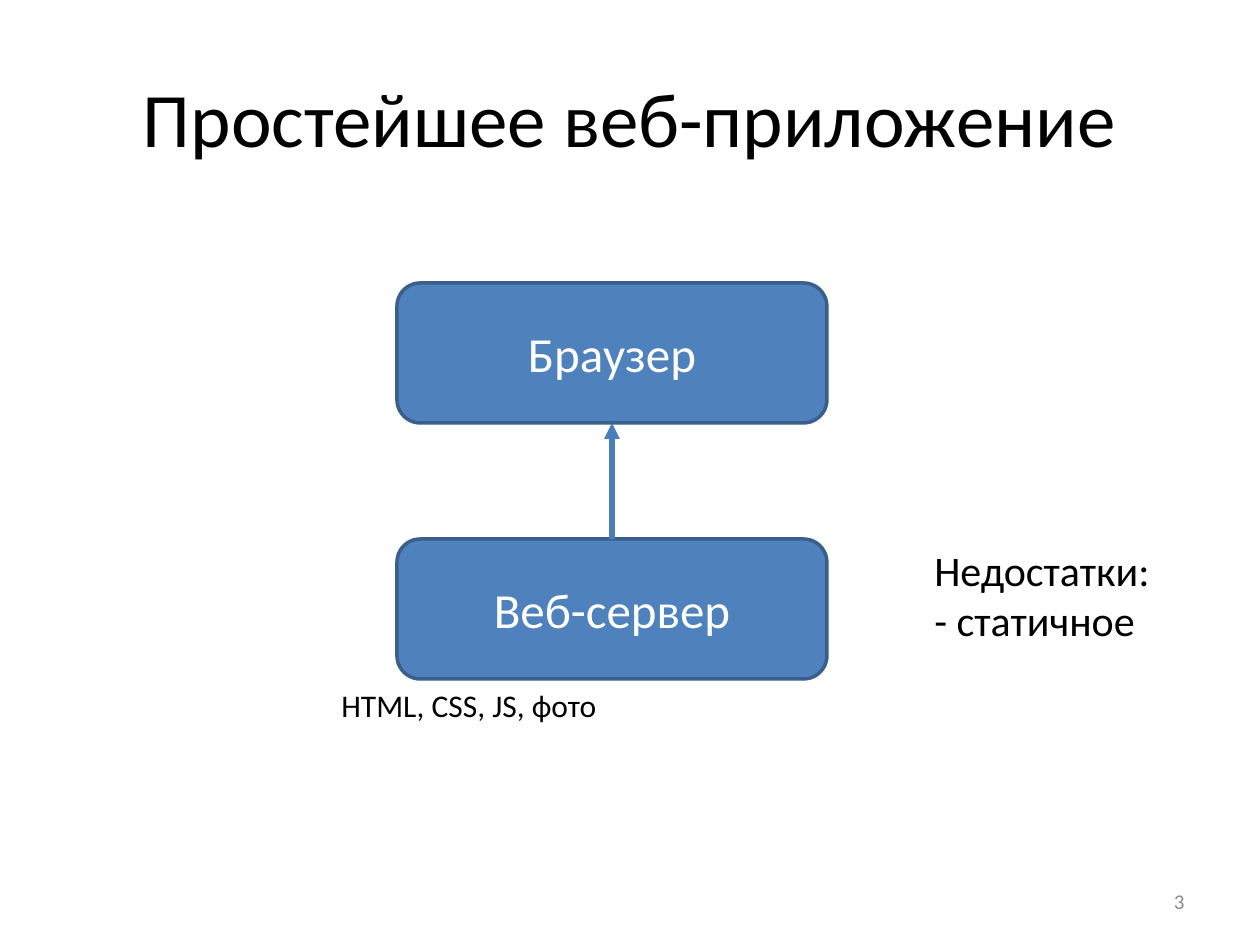
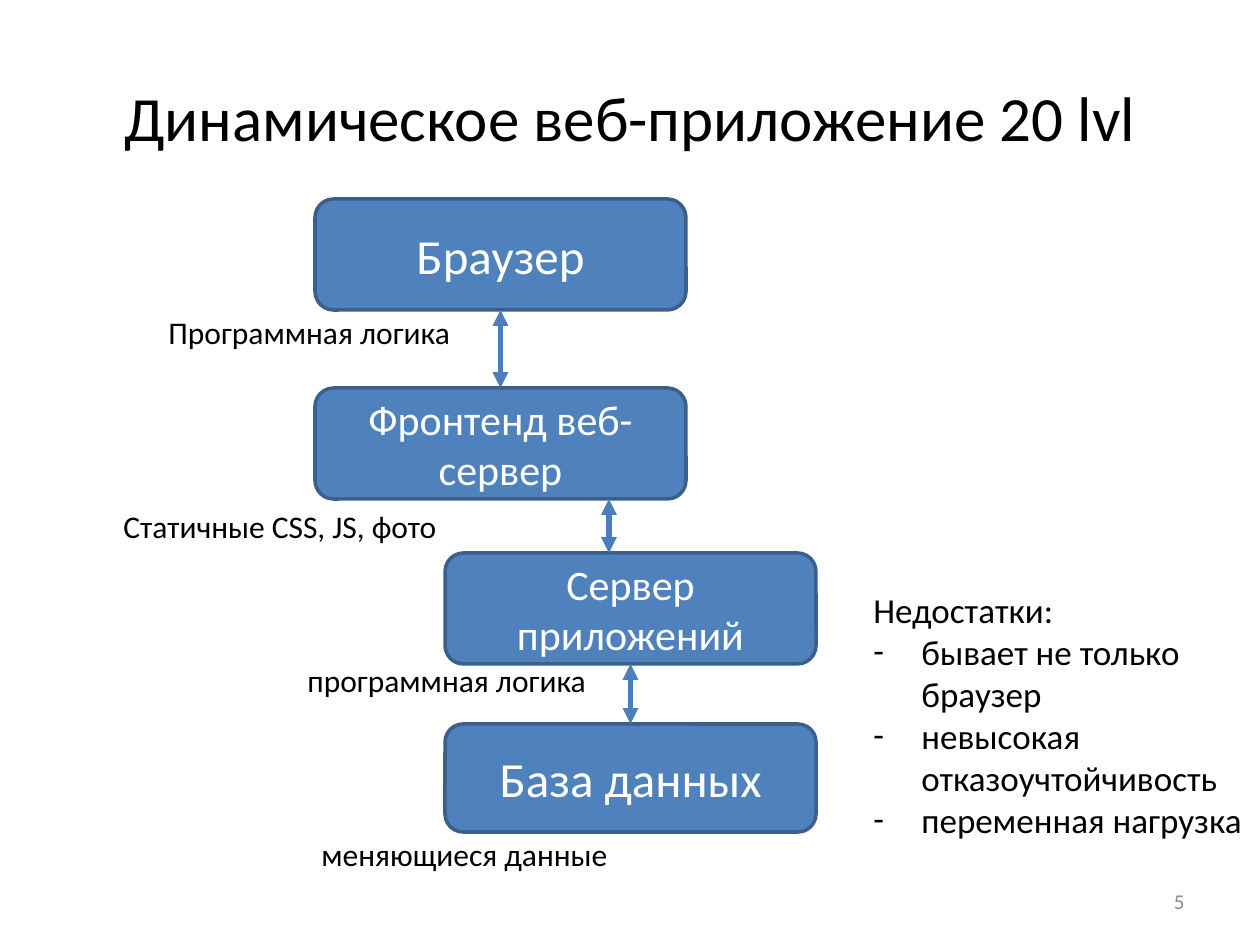
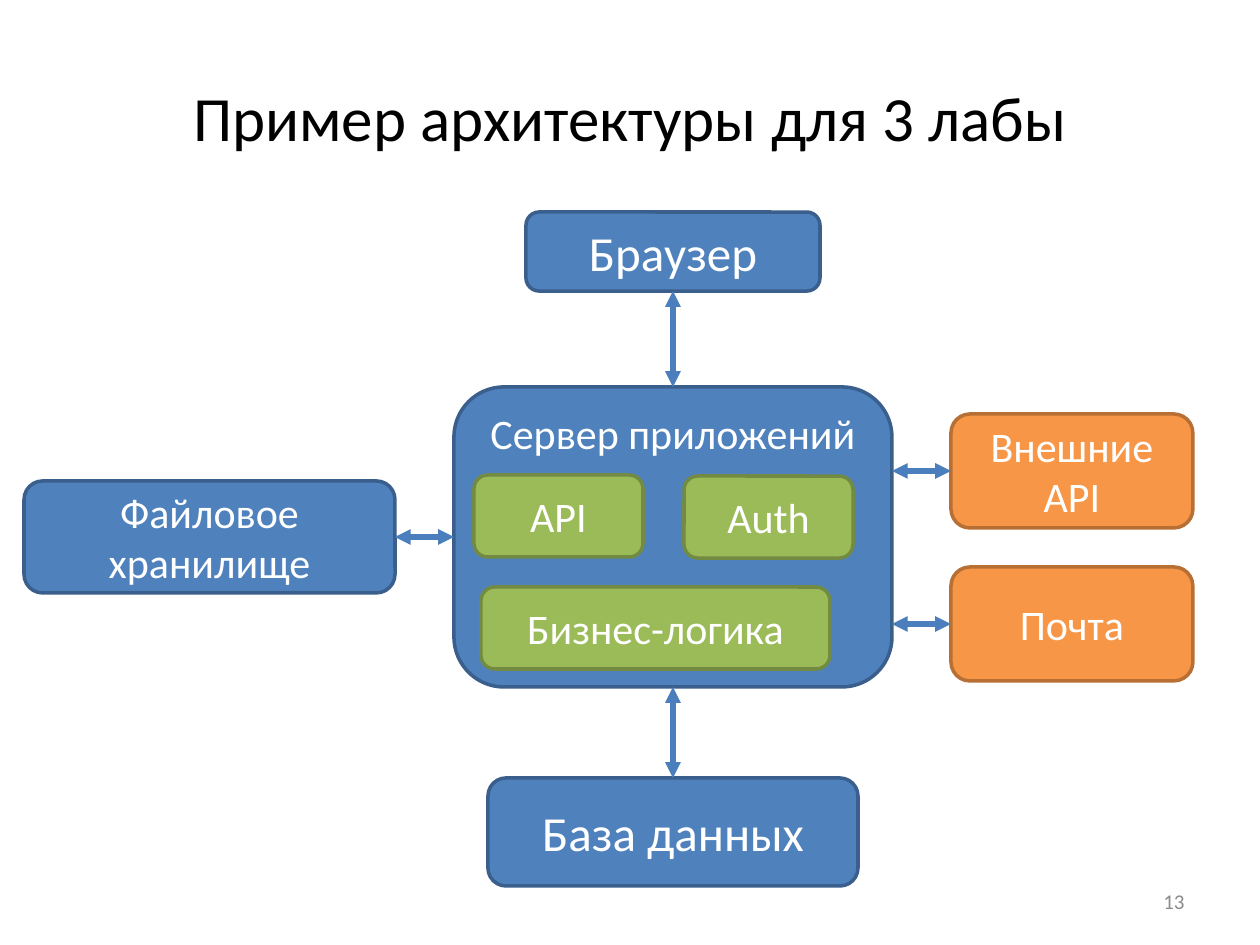
from lxml.etree import SubElement
from pptx import Presentation
from pptx.dml.color import RGBColor
from pptx.enum.shapes import MSO_CONNECTOR, MSO_SHAPE
from pptx.enum.text import MSO_ANCHOR, MSO_AUTO_SIZE, PP_ALIGN
from pptx.oxml.ns import qn
from pptx.util import Emu, Pt

PX_PER_INCH = 126
FONT = "Calibri"
BLACK, WHITE, GREY, ARROW_BLUE = "000000", "FFFFFF", "8C8C8C", "4B7EBC"
BLUE = ("4F81BD", "3A5F8C")
GREEN = ("9BBB59", "738A42")
ORANGE = ("F79646", "B76F34")
TOP, LEFT, BOTTOM, RIGHT = range(4)


def px(length):
    return Emu(round(length * 914400 / PX_PER_INCH))


def rgb(value):
    return RGBColor.from_string(value)


def write_text(frame, text, size=18, color=BLACK, align=PP_ALIGN.LEFT,
               anchor=MSO_ANCHOR.TOP, wrap=True, bullets_from=None):
    frame.word_wrap = wrap
    frame.vertical_anchor = anchor
    for index, line in enumerate(text.split("\n")):
        paragraph = frame.add_paragraph() if index else frame.paragraphs[0]
        paragraph.alignment = align
        run = paragraph.add_run()
        run.text = line
        run.font.name = FONT
        run.font.size = Pt(size)
        run.font.color.rgb = rgb(color)
        if bullets_from is not None and index >= bullets_from:
            properties = paragraph._p.get_or_add_pPr()
            properties.set("marL", str(px(48)))
            properties.set("indent", str(-px(48)))
            SubElement(properties, qn("a:buFont"), typeface=FONT)
            SubElement(properties, qn("a:buChar"), char="-")


class Deck:
    def __init__(self):
        self.presentation = Presentation()
        self.presentation.slide_width = px(1260)
        self.presentation.slide_height = px(945)
        self.slide = None

    def start(self, heading, number, size=36):
        layout = self.presentation.slide_layouts[5]
        self.slide = self.presentation.slides.add_slide(layout)
        title = self.slide.shapes.title
        title.left, title.top, title.width, title.height = map(px, (63, 38, 1134, 157))
        write_text(title.text_frame, heading, size=size,
                   align=PP_ALIGN.CENTER, anchor=MSO_ANCHOR.MIDDLE)
        self.note(number, 903, 876, 294, 50, size=12, color=GREY,
                  align=PP_ALIGN.RIGHT, anchor=MSO_ANCHOR.MIDDLE)

    def note(self, text, left, top, width, height, **text_format):
        area = self.slide.shapes.add_textbox(*map(px, (left, top, width, height)))
        write_text(area.text_frame, text, **text_format)
        return area

    def label(self, text, left, top, width):
        area = self.note(text, left, top, width, 50, wrap=False)
        area.text_frame.auto_size = MSO_AUTO_SIZE.SHAPE_TO_FIT_TEXT

    def node(self, text, left, top, width, height, size=24, colors=BLUE,
             anchor=MSO_ANCHOR.MIDDLE):
        shape = self.slide.shapes.add_shape(
            MSO_SHAPE.ROUNDED_RECTANGLE, *map(px, (left, top, width, height)))
        fill, outline = colors
        shape.shadow.inherit = False
        shape.fill.solid()
        shape.fill.fore_color.rgb = rgb(fill)
        shape.line.color.rgb = rgb(outline)
        shape.line.width = Pt(2)
        write_text(shape.text_frame, text, size=size, color=WHITE,
                   align=PP_ALIGN.CENTER, anchor=anchor)
        return shape

    def connector(self, begin, end):
        line = self.slide.shapes.add_connector(
            MSO_CONNECTOR.STRAIGHT, *map(px, (*begin, *end)))
        line.line.color.rgb = rgb(ARROW_BLUE)
        line.line.width = Pt(3)
        return line

    def arrow(self, begin, end, both_ways=True):
        joined_begin = not isinstance(begin[0], int)
        joined_end = not isinstance(end[0], int)
        line = self.connector((0, 0) if joined_begin else begin,
                              (0, 0) if joined_end else end)
        if joined_begin:
            line.begin_connect(*begin)
        if joined_end:
            line.end_connect(*end)
        outline = line.line._get_or_add_ln()
        if both_ways:
            SubElement(outline, qn("a:headEnd"), type="triangle")
        SubElement(outline, qn("a:tailEnd"), type="triangle")
        SubElement(line._element.spPr, qn("a:effectLst"))


def simplest_app(deck):
    deck.start("Простейшее веб-приложение", "3", size=44)
    browser = deck.node("Браузер", 397, 283, 430, 140, size=28)
    web_server = deck.node("Веб-сервер", 397, 539, 430, 140, size=28)
    deck.arrow((web_server, TOP), (browser, BOTTOM), both_ways=False)
    deck.label("HTML, CSS, JS, фото", 329, 680, 284)
    deck.note("Недостатки:\n- статичное", 922, 538, 338, 115, size=24)


def dynamic_app(deck):
    deck.start("Динамическое веб-приложение 20 lvl", "5")
    browser = deck.node("Браузер", 315, 199, 371, 111, size=28)
    frontend = deck.node("Фронтенд веб-сервер", 315, 388, 371, 111)
    app_server = deck.node("Сервер приложений", 445, 553, 371, 111)
    database = deck.node("База данных", 445, 724, 371, 108, size=28)
    deck.arrow((browser, BOTTOM), (frontend, TOP))
    deck.arrow((609, 499), (609, 553))
    deck.arrow((app_server, BOTTOM), (database, TOP))
    for text, left, top, width in (
            ("Программная логика", 156, 307, 310),
            ("Статичные CSS, JS, фото", 111, 501, 343),
            ("программная логика", 295, 655, 307),
            ("меняющиеся данные", 309, 829, 315)):
        deck.label(text, left, top, width)
    deck.note("Недостатки:\nбывает не только браузер\n"
              "невысокая отказоучтойчивость\nпеременная нагрузка",
              861, 582, 430, 267, size=20, bullets_from=1)


def lab_architecture(deck):
    deck.start("Пример архитектуры для 3 лабы", "13")
    app_server = deck.node("Сервер приложений", 454, 387, 438, 300,
                           anchor=MSO_ANCHOR.TOP)
    browser = deck.node("Браузер", 526, 212, 294, 79, size=28)
    database = deck.node("База данных", 488, 778, 370, 108, size=28)
    storage = deck.node("Файловое хранилище", 24, 481, 371, 112)
    for text, left, top, width in (("API", 474, 475, 169),
                                   ("Auth", 684, 476, 169),
                                   ("Бизнес-логика", 481, 587, 349)):
        deck.node(text, left, top, width, 82, colors=GREEN)
    deck.arrow((app_server, BOTTOM), (database, TOP))
    deck.arrow((app_server, TOP), (browser, BOTTOM))
    deck.arrow((storage, RIGHT), (app_server, LEFT))
    for text, top in (("Внешние API", 414), ("Почта", 567)):
        service = deck.node(text, 951, top, 242, 114, colors=ORANGE)
        deck.arrow((service, LEFT), (892, top + 57))


def main():
    deck = Deck()
    simplest_app(deck)
    dynamic_app(deck)
    lab_architecture(deck)
    deck.presentation.save("out.pptx")


if __name__ == "__main__":
    main()
